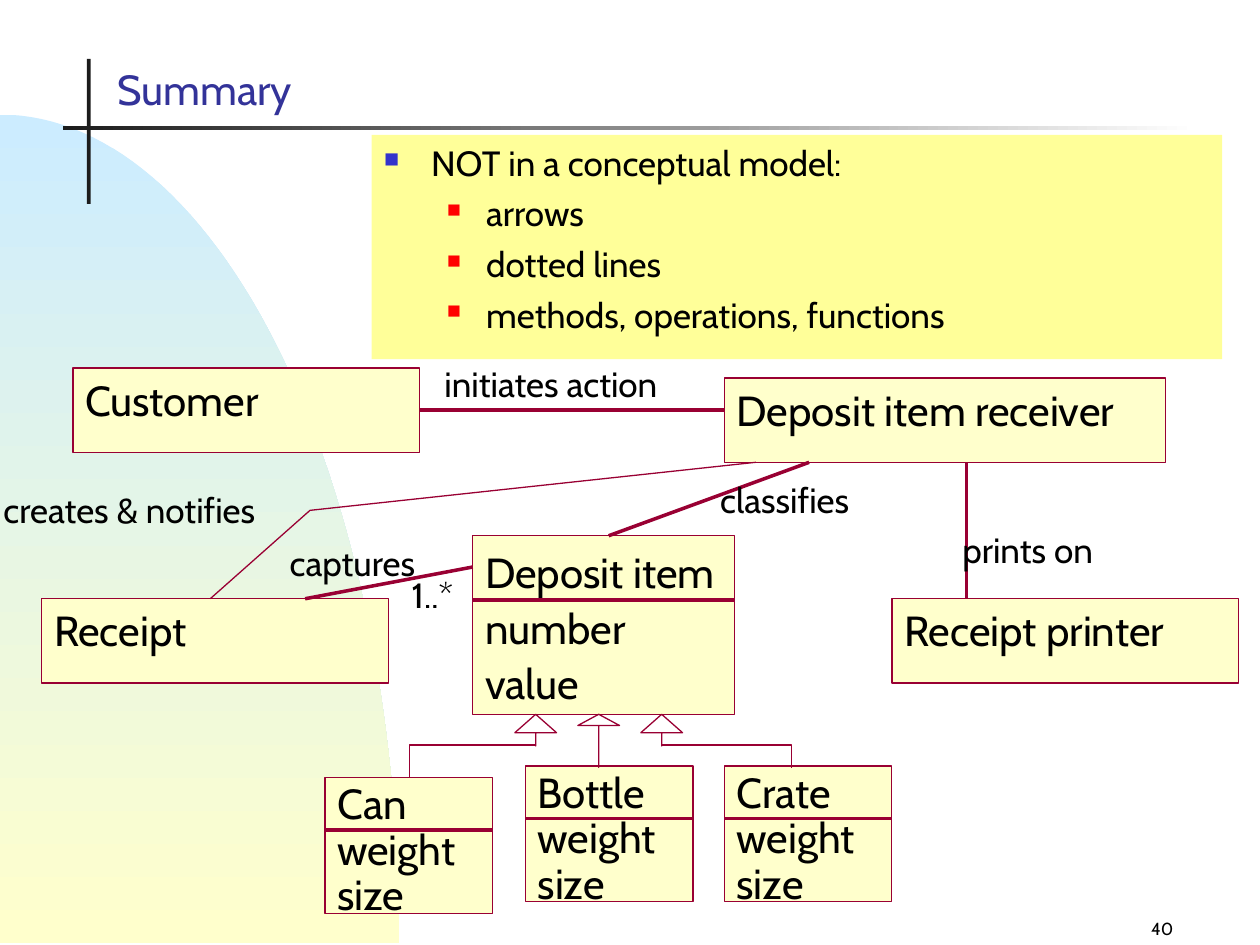
from math import cos, pi, sin

from lxml import etree
from pptx import Presentation
from pptx.dml.color import RGBColor
from pptx.enum.shapes import MSO_CONNECTOR, MSO_SHAPE
from pptx.enum.text import MSO_ANCHOR, MSO_AUTO_SIZE, PP_ALIGN
from pptx.oxml.ns import qn
from pptx.util import Cm, Pt

FONT = "Cabin"
BLACK = RGBColor(0x00, 0x00, 0x00)
CHARCOAL = RGBColor(0x1C, 0x1C, 0x1C)
WHITE = RGBColor(0xFF, 0xFF, 0xFF)
SKY = RGBColor(0xCC, 0xEC, 0xFF)
CREAM = RGBColor(0xFF, 0xFF, 0xCC)
YELLOW = RGBColor(0xFF, 0xFF, 0x99)
INDIGO = RGBColor(0x33, 0x33, 0x99)
BLUE = RGBColor(0x33, 0x33, 0xCC)
RED = RGBColor(0xFF, 0x00, 0x00)
MAROON = RGBColor(0x99, 0x00, 0x33)

BOX_HEIGHT = 1.7
BOX_WIDTH = 6.99
SUBTYPE_WIDTH, SUBTYPE_HEIGHT = 3.38, 2.74


def add_span(para, text, size, color=BLACK):
    span = para.add_run()
    span.text = text
    span.font.name = FONT
    span.font.size = Pt(size)
    span.font.color.rgb = color


def add_block(page, left, top, width, height, fill=None, kind=MSO_SHAPE.RECTANGLE):
    block = page.shapes.add_shape(kind, Cm(left), Cm(top), Cm(width), Cm(height))
    block.shadow.inherit = False
    block.line.fill.background()
    if fill is None:
        block.fill.background()
    else:
        block.fill.solid()
        block.fill.fore_color.rgb = fill
    return block


def set_outline(item):
    item.line.color.rgb = MAROON
    item.line.width = Pt(0)


def set_gradient(block, start, end, angle):
    block.fill.gradient()
    block.fill.gradient_angle = angle
    for stop, color in zip(block.fill.gradient_stops, (start, end)):
        stop.color.rgb = color


def add_path(page, points, close=False):
    corners = [(Cm(x), Cm(y)) for x, y in points]
    builder = page.shapes.build_freeform(*corners[0], scale=1.0)
    builder.add_line_segments(corners[1:], close=close)
    outline = builder.convert_to_shape()
    outline.shadow.inherit = False
    outline.fill.background()
    return outline


def add_polyline(page, *points):
    set_outline(add_path(page, points))


def add_line(page, x1, y1, x2, y2):
    line = page.shapes.add_connector(
        MSO_CONNECTOR.STRAIGHT, Cm(x1), Cm(y1), Cm(x2), Cm(y2))
    set_outline(line)
    etree.SubElement(line.element.spPr, qn("a:effectLst"))


def add_class(page, left, top, width, height, name, attributes=(), divider=0, spacing=1.0):
    box = add_block(page, left, top, width, height, CREAM)
    set_outline(box)
    frame = box.text_frame
    frame.word_wrap = True
    frame.vertical_anchor = MSO_ANCHOR.TOP
    para = frame.paragraphs[0]
    add_span(para, name, 24)
    if attributes:
        para.add_line_break()
        add_span(para, attributes[0], 24)
        add_line(page, left, top + divider, left + width, top + divider)
    for attribute in attributes[1:]:
        add_span(frame.add_paragraph(), attribute, 24)
    for para in frame.paragraphs:
        para.alignment = PP_ALIGN.LEFT
        para.line_spacing = spacing


def add_label(page, left, top, width, text):
    label = page.shapes.add_textbox(Cm(left), Cm(top), Cm(width), Cm(1.12))
    label.text_frame.word_wrap = False
    label.text_frame.auto_size = MSO_AUTO_SIZE.SHAPE_TO_FIT_TEXT
    add_span(label.text_frame.paragraphs[0], text, 20)


def add_arrowhead(page, center, height, head):
    arrow = add_block(page, center - 0.42, 14.4, 0.84, height, kind=MSO_SHAPE.UP_ARROW)
    arrow.adjustments[0] = 0
    arrow.adjustments[1] = head
    set_outline(arrow)


def set_bullet(para, color, size, margin, indent):
    properties = para._p.get_or_add_pPr()
    properties.set("marL", str(Cm(margin)))
    properties.set("indent", str(Cm(-indent)))
    tint = etree.SubElement(properties, qn("a:buClr"))
    etree.SubElement(tint, qn("a:srgbClr"), val=str(color))
    etree.SubElement(properties, qn("a:buSzPct"), val=str(size * 1000))
    etree.SubElement(properties, qn("a:buChar"), char="■")


def add_backdrop(page):
    top, width, height = 2.31, 8.05, 16.71
    angles = [pi / 2 * step / 60 for step in range(61)]
    arc = [(width * sin(a), top + height * (1 - cos(a))) for a in angles]
    dome = add_path(page, arc + [(0, top + height)], close=True)
    dome.line.fill.background()
    set_gradient(dome, SKY, CREAM, 270)
    add_block(page, 1.75, 1.19, 0.08, 2.92, CHARCOAL)
    rule = add_block(page, 1.27, 2.54, 22.86, 0.08)
    set_gradient(rule, CHARCOAL, WHITE, 0)


def add_title(page, text):
    title = page.shapes.title
    title.left, title.top, title.width, title.height = Cm(2.11), Cm(1.12), Cm(5.28), Cm(1.3)
    frame = title.text_frame
    frame.auto_size = MSO_AUTO_SIZE.NONE
    frame.vertical_anchor = MSO_ANCHOR.BOTTOM
    frame.paragraphs[0].alignment = PP_ALIGN.LEFT
    add_span(frame.paragraphs[0], text, 24, INDIGO)


def add_page_number(page, text):
    box = page.shapes.add_textbox(Cm(18.62), Cm(18.21), Cm(5.28), Cm(0.84))
    box.text_frame.word_wrap = True
    box.text_frame.vertical_anchor = MSO_ANCHOR.BOTTOM
    para = box.text_frame.paragraphs[0]
    para.alignment = PP_ALIGN.RIGHT
    add_span(para, text, 10)


def add_exclusions(page, heading, items):
    panel = add_block(page, 7.49, 2.72, 17.15, 4.52, YELLOW)
    frame = panel.text_frame
    frame.word_wrap = True
    frame.vertical_anchor = MSO_ANCHOR.TOP
    para = frame.paragraphs[0]
    para.alignment = PP_ALIGN.LEFT
    set_bullet(para, BLUE, 60, 0.95, 0.95)
    add_span(para, heading, 20)
    for item in items:
        para = frame.add_paragraph()
        para.alignment = PP_ALIGN.LEFT
        para.level = 1
        para.space_before = Pt(5)
        set_bullet(para, RED, 55, 2.06, 0.79)
        add_span(para, item, 20)


def add_model(page):
    add_class(page, 1.47, 7.42, BOX_WIDTH, BOX_HEIGHT, "Customer")
    add_class(page, 14.6, 7.62, 8.89, BOX_HEIGHT, "Deposit item receiver")
    add_class(page, 0.84, 12.07, BOX_WIDTH, BOX_HEIGHT, "Receipt")
    add_class(page, 17.98, 12.07, BOX_WIDTH, BOX_HEIGHT, "Receipt printer")
    add_class(page, 9.53, 10.8, 5.28, 3.61, "Deposit item", ("number", "value"), 1.29, 1.1)
    for name, left, top in (("Can", 6.55, 15.67), ("Bottle", 10.59, 15.44), ("Crate", 14.6, 15.44)):
        add_class(page, left, top, SUBTYPE_WIDTH, SUBTYPE_HEIGHT, name, ("weight", "size"), 1.06, 0.9)
    for center, height, head in ((10.8, 0.64, 0.58), (12.07, 1.07, 0.27), (13.34, 0.64, 0.58)):
        add_arrowhead(page, center, height, head)
    add_polyline(page, (10.8, 15.02), (8.26, 15.02), (8.26, 15.67))
    add_polyline(page, (13.34, 15.02), (15.95, 15.02), (15.95, 15.49))


def add_associations(page):
    add_line(page, 8.46, 8.26, 14.6, 8.26)
    add_line(page, 16.31, 9.32, 12.27, 10.8)
    add_line(page, 6.15, 12.07, 9.53, 11.43)
    add_line(page, 19.48, 9.32, 19.48, 12.07)
    add_polyline(page, (15.24, 9.32), (6.25, 10.29), (4.24, 12.07))
    add_label(page, 8.71, 7.19, 5.36, "initiates action")
    add_label(page, 14.27, 9.53, 3.45, "classifies")
    add_label(page, -0.18, 9.73, 6.27, "creates & notifies")
    add_label(page, 5.59, 10.8, 3.4, "captures")
    add_label(page, 19.15, 10.52, 3.48, "prints on")
    add_label(page, 8.05, 11.43, 1.68, "1..*")


def main():
    deck = Presentation()
    deck.slide_width, deck.slide_height = Cm(25.4), Cm(19.05)
    page = deck.slides.add_slide(deck.slide_layouts[5])
    add_backdrop(page)
    add_title(page, "Summary")
    add_page_number(page, "40")
    add_exclusions(page, "NOT in a conceptual model:",
                   ("arrows", "dotted lines", "methods, operations, functions"))
    add_model(page)
    add_associations(page)
    deck.save("out.pptx")


if __name__ == "__main__":
    main()
